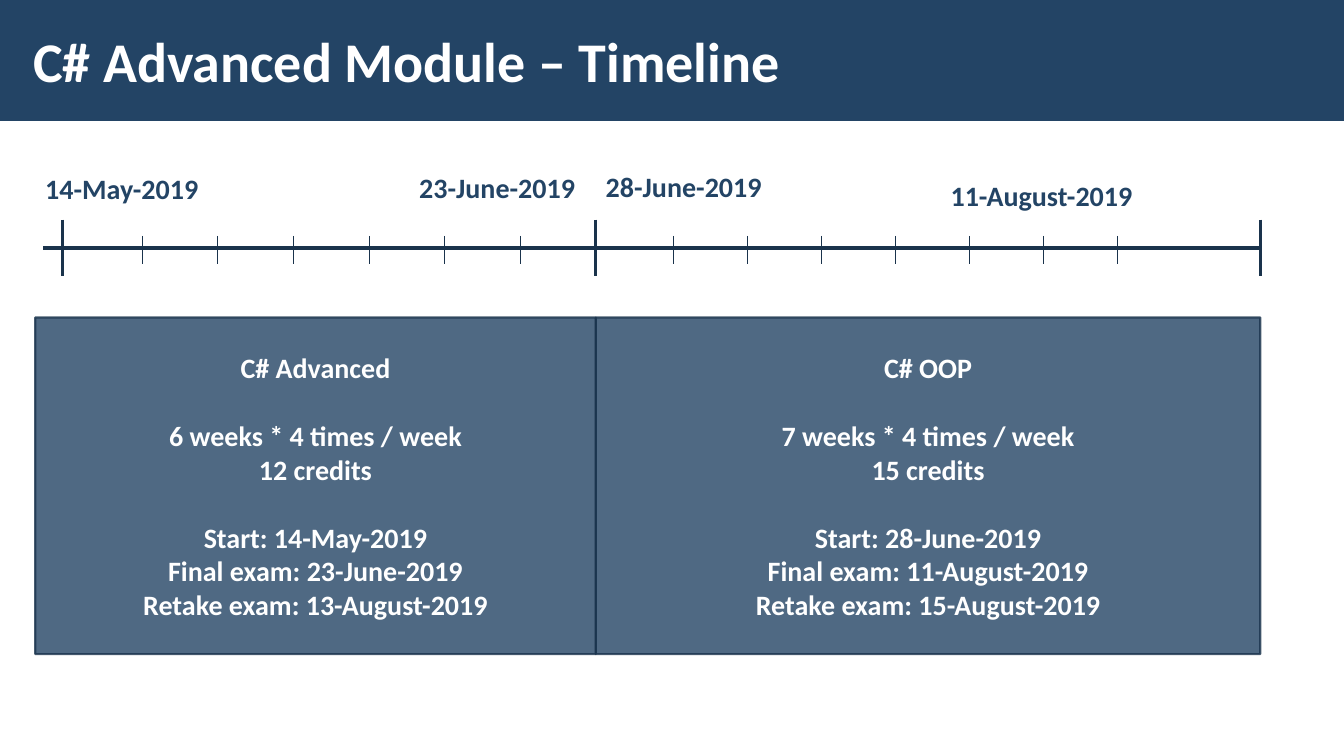
from dataclasses import dataclass

from lxml import etree
from pptx import Presentation
from pptx.dml.color import RGBColor
from pptx.enum import shapes, text
from pptx.oxml.ns import qn
from pptx.util import Inches, Pt


@dataclass(frozen=True)
class Theme:
    font: str = "Calibri"
    navy: RGBColor = RGBColor(0x23, 0x44, 0x65)
    dark: RGBColor = RGBColor(0x1A, 0x33, 0x4C)
    white: RGBColor = RGBColor(0xFF, 0xFF, 0xFF)
    title: Pt = Pt(40)
    body: Pt = Pt(20)
    blank_line: Pt = Pt(24.4)


T = Theme()


def write(tf, groups, size=T.body, color=T.white, align=text.PP_ALIGN.LEFT,
          anchor=text.MSO_ANCHOR.MIDDLE):
    """Fill a text frame with groups of lines, one line of space between groups."""
    tf.vertical_anchor = anchor
    first = True
    for group in groups:
        for i, line in enumerate(group):
            p = tf.paragraphs[0] if first else tf.add_paragraph()
            p.alignment = align
            p.space_before = T.blank_line if i == 0 and not first else Pt(0)
            first = False
            r = p.add_run()
            r.text = line
            r.font.name, r.font.size, r.font.bold = T.font, size, True
            r.font.color.rgb = color


def draw_line(x1, y1, x2, y2, width):
    c = s.shapes.add_connector(shapes.MSO_CONNECTOR.STRAIGHT, Inches(x1),
                               Inches(y1), Inches(x2), Inches(y2))
    c.line.color.rgb = T.dark
    c.line.width = Pt(width)
    etree.SubElement(c.element.spPr, qn("a:effectLst"))


prs = Presentation()
prs.slide_width, prs.slide_height = Inches(13.33), Inches(7.5)
s = prs.slides.add_slide(prs.slide_layouts[5])

# Title on its band
title = s.shapes.title
band = s.shapes.add_shape(shapes.MSO_SHAPE.RECTANGLE, 0, 0, prs.slide_width, Inches(1.2))
band.shadow.inherit = False
band.fill.solid()
band.fill.fore_color.rgb = T.navy
band.line.fill.background()
title.element.addprevious(band.element)

title.left, title.top = Inches(0.21), Inches(0.11)
title.width, title.height = Inches(10.39), Inches(0.97)
tf = title.text_frame
tf.auto_size = text.MSO_AUTO_SIZE.NONE
tf.margin_left = tf.margin_right = Inches(0.12)
tf.margin_top = tf.margin_bottom = Inches(0.04)
write(tf, [["C# Advanced Module – Timeline"]], size=T.title)

# Course boxes
left, split, right = 0.35, 5.91, 12.5
courses = [
    (left, split, [["C# Advanced"],
                   ["6 weeks * 4 times / week", "12 credits"],
                   ["Start: 14-May-2019", "Final exam: 23-June-2019",
                    "Retake exam: 13-August-2019"]]),
    (split, right, [["C# OOP"],
                    ["7 weeks * 4 times / week", "15 credits"],
                    ["Start: 28-June-2019", "Final exam: 11-August-2019",
                     "Retake exam: 15-August-2019"]]),
]
for x1, x2, groups in courses:
    box = s.shapes.add_shape(shapes.MSO_SHAPE.RECTANGLE, Inches(x1), Inches(3.15),
                             Inches(x2 - x1), Inches(3.34))
    box.shadow.inherit = False
    box.fill.solid()
    box.fill.fore_color.rgb = T.navy
    box.line.color.rgb = T.dark
    box.line.width = Pt(1.5)
    for color in box.element.spPr.iter(qn("a:srgbClr")):
        etree.SubElement(color, qn("a:alpha"), val="80000")
    write(box.text_frame, groups, align=text.PP_ALIGN.CENTER)

# Time axis with course limits and weekly ticks
axis_y = 2.46
draw_line(0.43, axis_y, right, axis_y, 2.25)
for x in (0.62, split, right):
    draw_line(x, axis_y - 0.28, x, axis_y + 0.28, 2.25)
for start, step, count in ((1.41, 0.75, 6), (6.68, 0.734, 7)):
    for week in range(count):
        x = start + week * step
        draw_line(x, axis_y - 0.12, x, axis_y + 0.16, 0.5)

# Dates
for x, y, width, date in (
    (0.35, 1.65, 1.74, "14-May-2019"),
    (4.06, 1.64, 1.76, "23-June-2019"),
    (5.91, 1.63, 1.76, "28-June-2019"),
    (9.33, 1.72, 2.04, "11-August-2019"),
):
    label = s.shapes.add_textbox(Inches(x), Inches(y), Inches(width), Inches(0.44))
    tf = label.text_frame
    tf.word_wrap = False
    tf.auto_size = text.MSO_AUTO_SIZE.SHAPE_TO_FIT_TEXT
    write(tf, [[date]], color=T.navy, anchor=text.MSO_ANCHOR.TOP)

prs.save("out.pptx")
